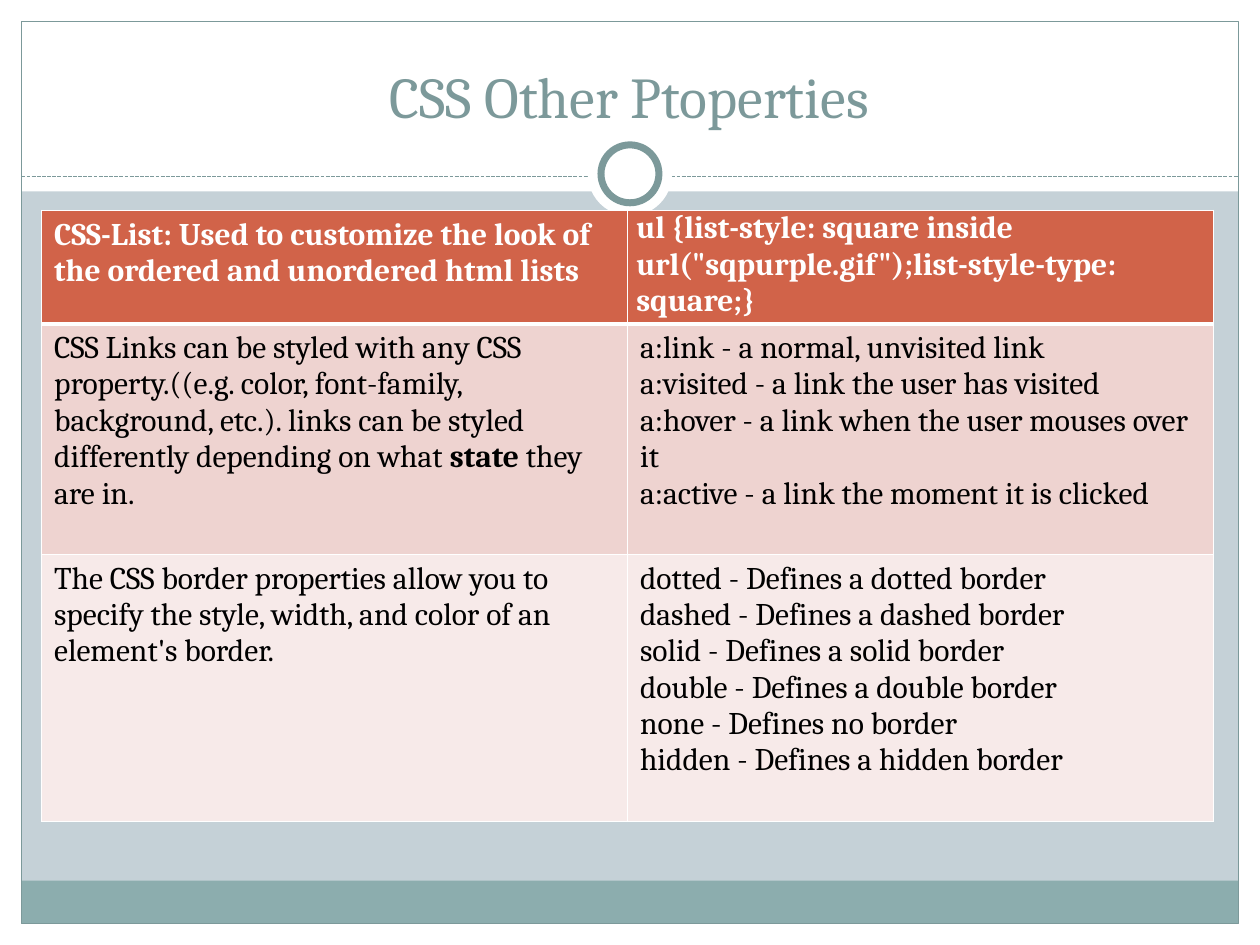
from lxml.etree import SubElement
from pptx import Presentation
from pptx.dml.color import RGBColor
from pptx.enum.dml import MSO_LINE
from pptx.enum.shapes import MSO_CONNECTOR, MSO_SHAPE
from pptx.enum.text import MSO_ANCHOR, PP_ALIGN
from pptx.oxml.ns import qn
from pptx.util import Inches, Pt

FONT = "Cambria"
WHITE = RGBColor(0xFF, 0xFF, 0xFF)
BLACK = RGBColor(0, 0, 0)
BACKGROUND = RGBColor(0xC5, 0xD1, 0xD7)
FOOTER = RGBColor(0x8C, 0xAD, 0xAE)
ACCENT = RGBColor(0x7C, 0x99, 0x9A)
HEADER_FILL = RGBColor(0xD1, 0x63, 0x49)
ROW_FILLS = [HEADER_FILL, RGBColor(0xEE, 0xD3, 0xD0), RGBColor(0xF7, 0xEA, 0xE9)]

WIDTH, HEIGHT, MARGIN = 10, 7.5, 0.17
TITLE = "CSS Other Ptoperties"
# Each cell is a list of paragraphs; **marks** a bold run.
ROWS = [
    (["CSS-List: Used to customize the look of the ordered and unordered html lists"],
     ['ul {list-style: square inside url("sqpurple.gif");list-style-type: square;}']),
    (["CSS Links can be styled with any CSS property.((e.g. color, font-family, background, etc.). "
      "links can be styled differently depending on what **state** they are in."],
     ["a:link - a normal, unvisited link",
      "a:visited - a link the user has visited",
      "a:hover - a link when the user mouses over it",
      "a:active - a link the moment it is clicked"]),
    (["The CSS border properties allow you to specify the style, width, and color "
      "of an element's border."],
     ["dotted - Defines a dotted border",
      "dashed - Defines a dashed border",
      "solid - Defines a solid border",
      "double - Defines a double border",
      "none - Defines no border",
      "hidden - Defines a hidden border"]),
]
ROW_HEIGHTS = [0.87, 1.83, 2.12]
COLUMN_WIDTH = 4.65


def write_text(frame, paragraphs, size=18, color=BLACK, bold=False, align=PP_ALIGN.LEFT):
    frame.word_wrap = True
    for index, text in enumerate(paragraphs):
        paragraph = frame.paragraphs[0] if index == 0 else frame.add_paragraph()
        paragraph.alignment = align
        for part, piece in enumerate(text.split("**")):
            run = paragraph.add_run()
            run.text = piece
            run.font.name = FONT
            run.font.size = Pt(size)
            run.font.bold = bold or part % 2 == 1
            run.font.color.rgb = color


def add_panel(slide, left, top, width, height, fill=None, line=None, weight=0.75,
              kind=MSO_SHAPE.RECTANGLE):
    shape = slide.shapes.add_shape(kind, Inches(left), Inches(top), Inches(width), Inches(height))
    shape.shadow.inherit = False
    if fill is None:
        shape.fill.background()
    else:
        shape.fill.solid()
        shape.fill.fore_color.rgb = fill
    if line is None:
        shape.line.fill.background()
    else:
        shape.line.color.rgb = line
        shape.line.width = Pt(weight)


def add_circle(slide, center_y, diameter, **style):
    add_panel(slide, (WIDTH - diameter) / 2, center_y - diameter / 2, diameter, diameter,
              kind=MSO_SHAPE.OVAL, **style)


def add_frame(slide):
    inner_width = WIDTH - 2 * MARGIN
    bottom = HEIGHT - MARGIN
    for box in [(0, bottom, WIDTH, MARGIN), (0, 0, WIDTH, 1.52),
                (0, 0, MARGIN, HEIGHT), (WIDTH - MARGIN, 0, MARGIN, HEIGHT)]:
        add_panel(slide, *box, fill=WHITE)
    add_panel(slide, MARGIN, bottom - 0.34, inner_width, 0.34, fill=FOOTER)
    add_panel(slide, MARGIN, MARGIN, inner_width, HEIGHT - 2 * MARGIN, line=ACCENT)

    divider = slide.shapes.add_connector(MSO_CONNECTOR.STRAIGHT, Inches(MARGIN), Inches(1.4),
                                         Inches(WIDTH - MARGIN), Inches(1.4))
    divider.line.color.rgb = ACCENT
    divider.line.width = Pt(0.75)
    divider.line.dash_style = MSO_LINE.SQUARE_DOT
    SubElement(divider.element.spPr, qn("a:effectLst"))

    add_circle(slide, 1.38, 0.67, fill=WHITE)
    add_circle(slide, 1.38, 0.46, fill=WHITE, line=ACCENT, weight=4)


def set_borders(cell, **weights):
    """Draw white borders; the fill must be set afterwards to keep the XML order."""
    properties = cell._tc.get_or_add_tcPr()
    for side in ("L", "R", "T", "B"):
        line = SubElement(properties, qn(f"a:ln{side}"), w=str(Pt(weights.get(side, 1))))
        fill = SubElement(line, qn("a:solidFill"))
        SubElement(fill, qn("a:srgbClr"), val=str(WHITE))


def add_property_table(slide):
    table = slide.shapes.add_table(len(ROWS), 2, Inches(0.33), Inches(1.67),
                                   Inches(2 * COLUMN_WIDTH), Inches(sum(ROW_HEIGHTS))).table
    for column in table.columns:
        column.width = Inches(COLUMN_WIDTH)
    for row_index, (row, height, fill) in enumerate(zip(ROWS, ROW_HEIGHTS, ROW_FILLS)):
        table.rows[row_index].height = Inches(height)
        header = row_index == 0
        for column_index, paragraphs in enumerate(row):
            cell = table.cell(row_index, column_index)
            set_borders(cell, B=3 if header else 1, T=3 if row_index == 1 else 1)
            cell.fill.solid()
            cell.fill.fore_color.rgb = fill
            write_text(cell.text_frame, paragraphs, color=WHITE if header else BLACK, bold=header)
    code_cell = table.cell(0, 1)
    code_cell.margin_left = code_cell.margin_right = Inches(0.07)
    code_cell.margin_top = code_cell.margin_bottom = 0


def main():
    presentation = Presentation()
    presentation.slide_width, presentation.slide_height = Inches(WIDTH), Inches(HEIGHT)
    slide = presentation.slides.add_slide(presentation.slide_layouts[6])
    slide.background.fill.solid()
    slide.background.fill.fore_color.rgb = BACKGROUND

    add_frame(slide)
    title = slide.shapes.add_textbox(Inches(0.33), Inches(0.25), Inches(9.33), Inches(0.83))
    title.text_frame.vertical_anchor = MSO_ANCHOR.BOTTOM
    write_text(title.text_frame, [TITLE], size=33, color=ACCENT, align=PP_ALIGN.CENTER)
    add_property_table(slide)
    presentation.save("out.pptx")


if __name__ == "__main__":
    main()
